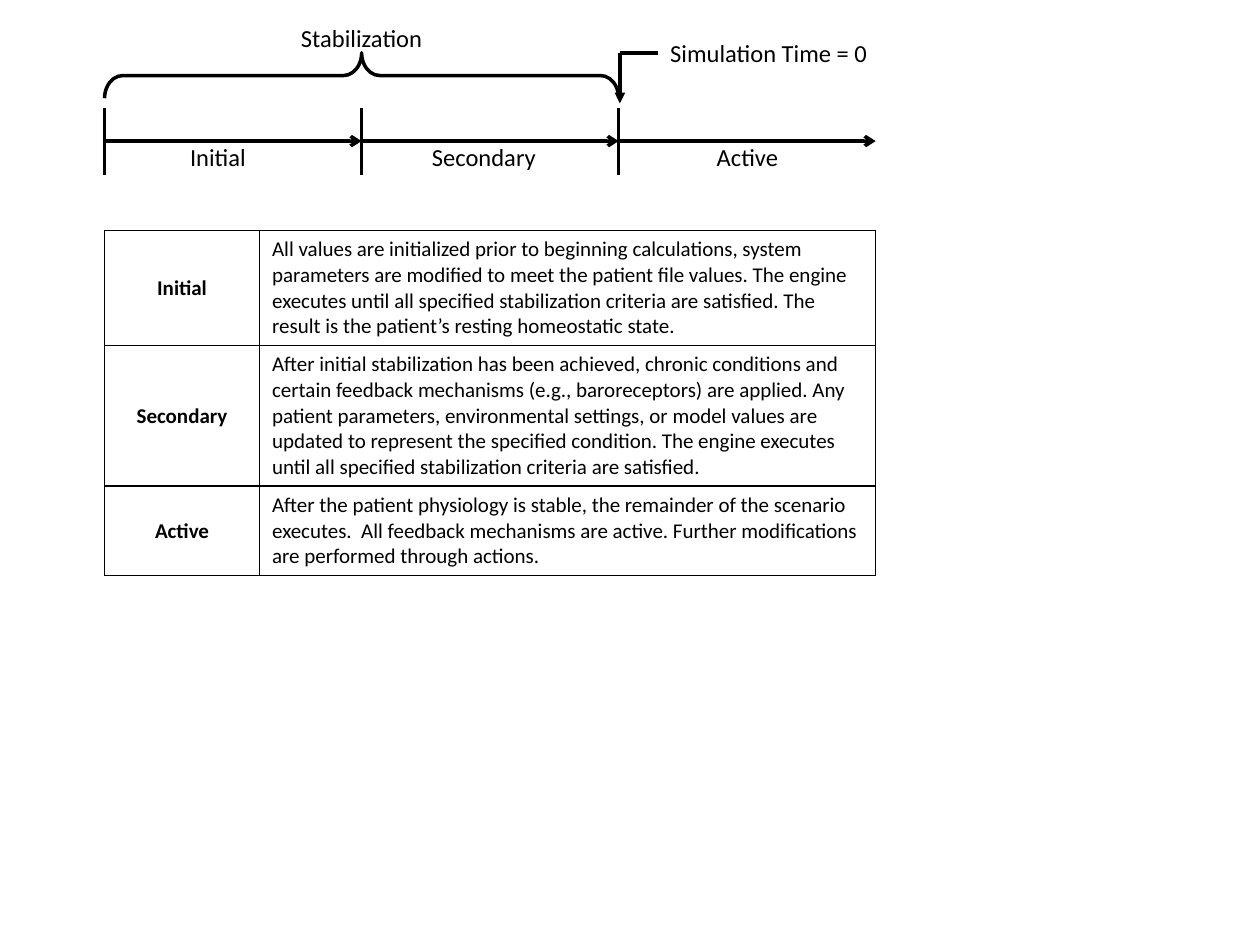
import pptx
import pptx.util
import pptx.dml.color
import pptx.enum.shapes
import pptx.enum.text
import pptx.oxml
import pptx.oxml.ns
import lxml.etree

Inches = pptx.util.Inches
BLACK = "000000"
PHASES = [
    ("Initial", 0.9,
     "All values are initialized prior to beginning calculations, system parameters are modified "
     "to meet the patient file values. The engine executes until all specified stabilization "
     "criteria are satisfied. The result is the patient\u2019s resting homeostatic state."),
    ("Secondary", 1.1,
     "After initial stabilization has been achieved, chronic conditions and certain feedback "
     "mechanisms (e.g., baroreceptors) are applied. Any patient parameters, environmental "
     "settings, or model values are updated to represent the specified condition. The engine "
     "executes until all specified stabilization criteria are satisfied."),
    ("Active", 0.7,
     "After the patient physiology is stable, the remainder of the scenario executes.  All "
     "feedback mechanisms are active. Further modifications are performed through actions."),
]
LABELS = [
    ("Initial", 1.41, 1.08, 0.65),
    ("Secondary", 3.33, 1.08, 1.03),
    ("Active", 5.59, 1.08, 0.7),
    ("Stabilization", 2.29, 0.13, 1.18),
    ("Simulation Time = 0", 5.22, 0.25, 1.78),
]
LEFT, PHASE_WIDTH = 0.83, 2.04
AXIS_Y, TICK_TOP, TICK_BOTTOM = 1.12, 0.86, 1.39
START_X, START_Y = 4.92, 0.42
BRACE_TOP, BRACE_DEPTH = 0.42, 0.36
TABLE_TOP, NAME_WIDTH = 1.83, 1.23


def color(value):
    return pptx.dml.color.RGBColor.from_string(value)


def style(frame, size, bold=False):
    for run in frame.paragraphs[0].runs:
        run.font.name = "Calibri"
        run.font.size = pptx.util.Pt(size)
        run.font.bold = bold
        run.font.color.rgb = color(BLACK)


def outline(line):
    line.color.rgb = color(BLACK)
    line.width = pptx.util.Pt(2)


def draw_line(x1, y1, x2, y2, head=None):
    connector = slide.shapes.add_connector(
        pptx.enum.shapes.MSO_CONNECTOR.STRAIGHT, Inches(x1), Inches(y1), Inches(x2), Inches(y2))
    outline(connector.line)
    properties = connector._element.spPr
    if head:
        tail = lxml.etree.SubElement(properties.find(pptx.oxml.ns.qn("a:ln")),
                                     pptx.oxml.ns.qn("a:tailEnd"))
        tail.set("type", head)
    lxml.etree.SubElement(properties, pptx.oxml.ns.qn("a:effectLst"))


def border(cell):
    properties = cell._tc.get_or_add_tcPr()
    for position, side in enumerate(("a:lnL", "a:lnR", "a:lnT", "a:lnB")):
        edge = lxml.etree.Element(pptx.oxml.ns.qn(side), w=str(pptx.util.Pt(1)))
        fill = lxml.etree.SubElement(edge, pptx.oxml.ns.qn("a:solidFill"))
        lxml.etree.SubElement(fill, pptx.oxml.ns.qn("a:srgbClr"), val=BLACK)
        properties.insert(position, edge)


deck = pptx.Presentation()
deck.slide_width, deck.slide_height = Inches(10), Inches(7.5)
slide = deck.slides.add_slide(deck.slide_layouts[6])

for index in range(len(PHASES)):
    x = LEFT + index * PHASE_WIDTH
    draw_line(x, TICK_TOP, x, TICK_BOTTOM)
    draw_line(x, AXIS_Y, x + PHASE_WIDTH, AXIS_Y, "arrow")

phase_table = slide.shapes.add_table(
    len(PHASES), 2, Inches(LEFT), Inches(TABLE_TOP), Inches(len(PHASES) * PHASE_WIDTH),
    Inches(sum(height for _, height, _ in PHASES))).table
phase_table.first_row = phase_table.horz_banding = False
phase_table.columns[0].width = Inches(NAME_WIDTH)
phase_table.columns[1].width = Inches(len(PHASES) * PHASE_WIDTH - NAME_WIDTH)
for row, (name, height, description) in enumerate(PHASES):
    phase_table.rows[row].height = Inches(height)
    for column, text in enumerate((name, description)):
        cell = phase_table.cell(row, column)
        cell.text_frame.text = text
        style(cell.text_frame, 12, bold=column == 0)
        cell.fill.background()
        border(cell)
    name_cell = phase_table.cell(row, 0)
    name_cell.vertical_anchor = pptx.enum.text.MSO_ANCHOR.MIDDLE
    name_cell.text_frame.paragraphs[0].alignment = pptx.enum.text.PP_ALIGN.CENTER

brace_span = 2 * PHASE_WIDTH
brace = slide.shapes.add_shape(
    pptx.enum.shapes.MSO_SHAPE.LEFT_BRACE,
    Inches(LEFT + (brace_span - BRACE_DEPTH) / 2),
    Inches(BRACE_TOP + (BRACE_DEPTH - brace_span) / 2),
    Inches(BRACE_DEPTH), Inches(brace_span))
brace.rotation = 90
brace.adjustments[0] = 0.4
brace.shadow.inherit = False
brace.fill.background()
outline(brace.line)

draw_line(START_X, START_Y, START_X, 0.82, "triangle")
draw_line(START_X, START_Y, 5.22, START_Y)

for text, left, top, width in LABELS:
    label = slide.shapes.add_textbox(Inches(left), Inches(top), Inches(width), Inches(0.34))
    label.text_frame.text = text
    label.text_frame.word_wrap = False
    label.text_frame.auto_size = pptx.enum.text.MSO_AUTO_SIZE.SHAPE_TO_FIT_TEXT
    style(label.text_frame, 14)

deck.save("out.pptx")
